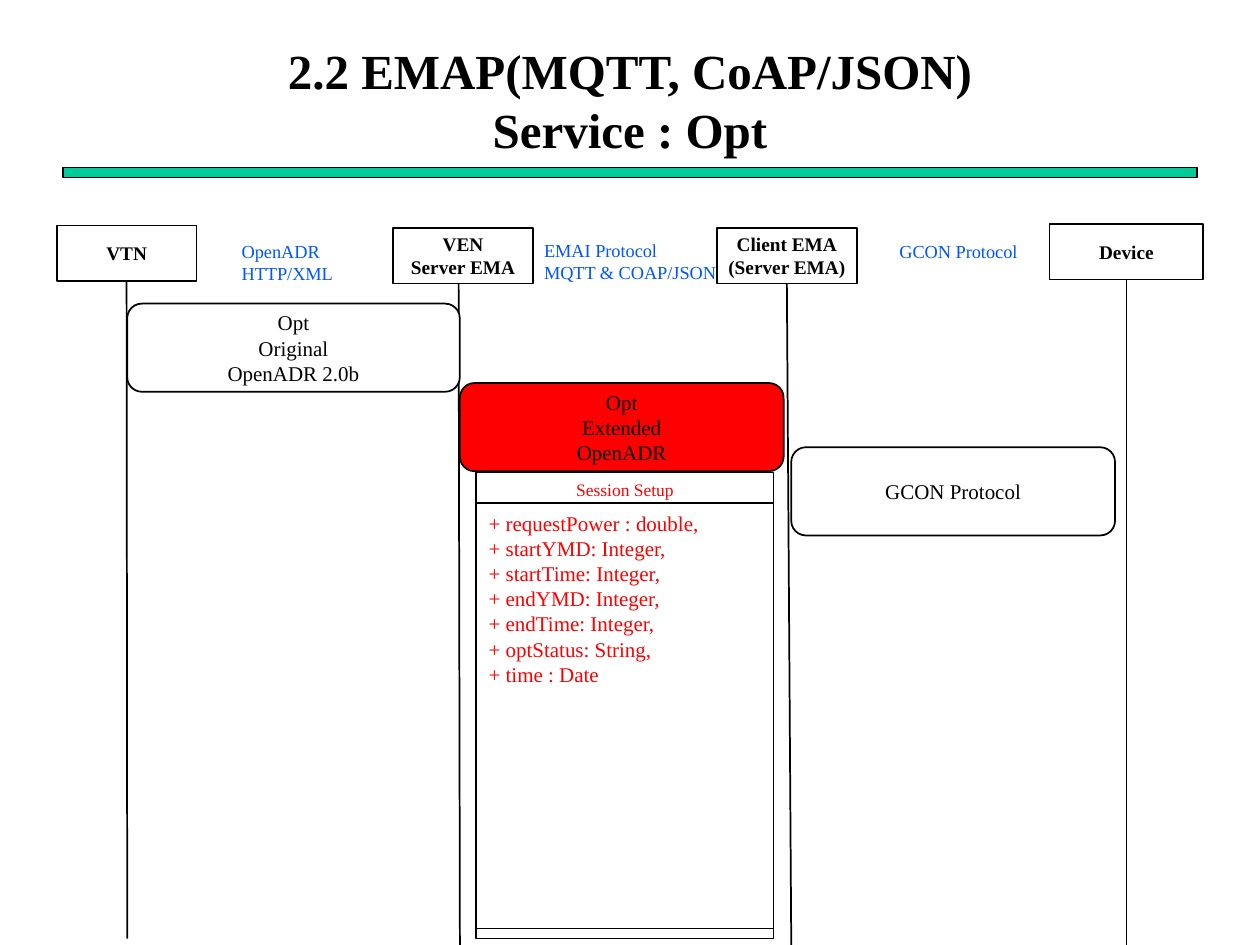
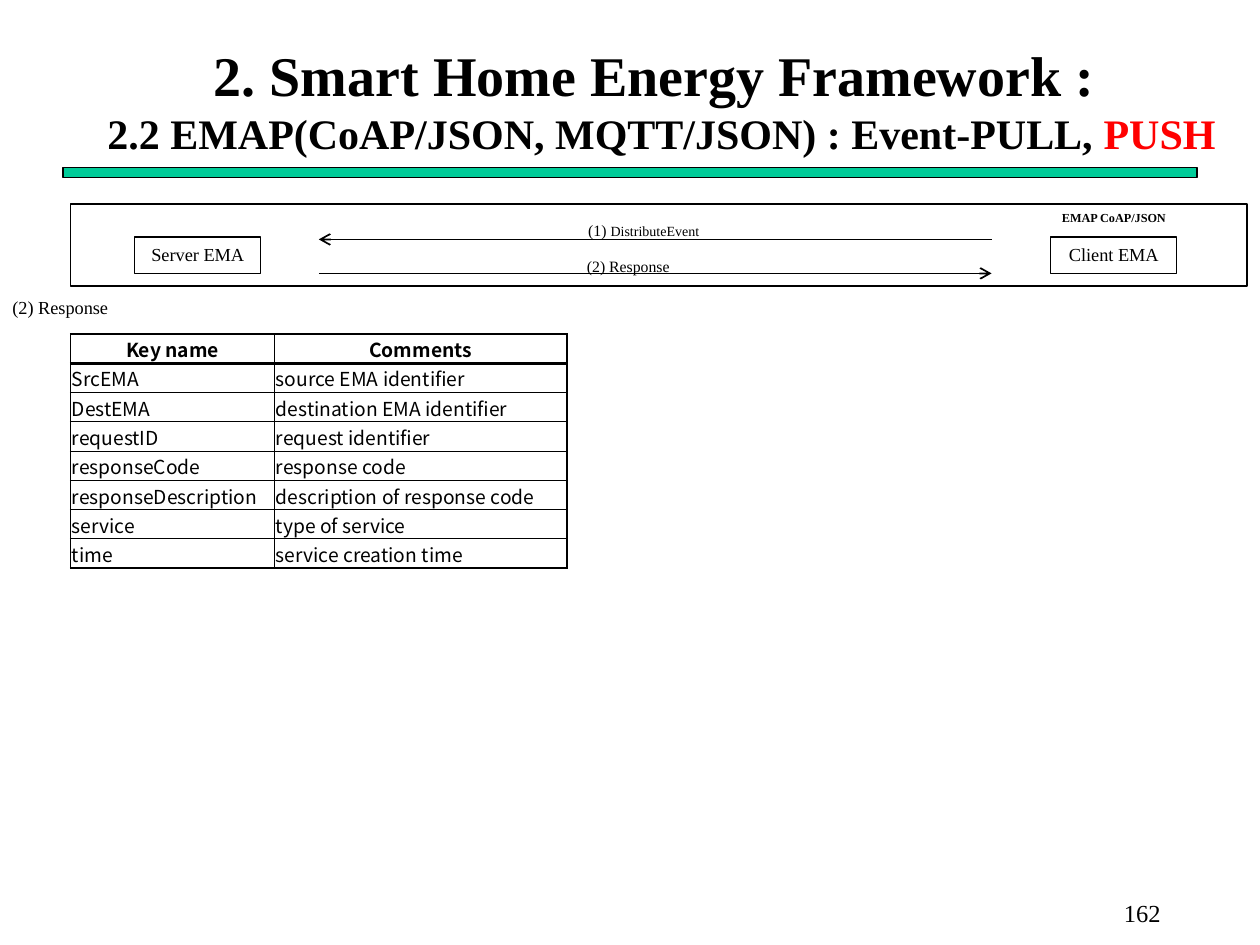
from dataclasses import dataclass

from lxml import etree
from pptx import Presentation
from pptx.dml.color import RGBColor
from pptx.enum.shapes import MSO_CONNECTOR, MSO_SHAPE
from pptx.enum.text import MSO_ANCHOR, PP_ALIGN
from pptx.oxml.ns import qn
from pptx.util import Inches, Pt

BLACK = RGBColor(0x00, 0x00, 0x00)
WHITE = RGBColor(0xFF, 0xFF, 0xFF)
RED = RGBColor(0xFF, 0x00, 0x00)
BLUE = RGBColor(0x01, 0x56, 0xFF)
GREEN = RGBColor(0x00, 0xCC, 0x99)

RECTANGLE, ROUNDED = MSO_SHAPE.RECTANGLE, MSO_SHAPE.ROUNDED_RECTANGLE
STRAIGHT = MSO_CONNECTOR.STRAIGHT
LEFT, CENTER, RIGHT = PP_ALIGN.LEFT, PP_ALIGN.CENTER, PP_ALIGN.RIGHT
TOP, MIDDLE = MSO_ANCHOR.TOP, MSO_ANCHOR.MIDDLE
BOTTOM_SIDE = 2

BODY_FONT = "Times New Roman"
TABLE_FONT = "Noto Sans CJK KR"
GRID_COLUMNS, GRID_ROWS = 100, 75
BOX_HEIGHT, STAGE_HEIGHT = 4.4, 7


@dataclass
class Run:
    """A stretch of text; empty fields follow the style of its box."""
    text: str
    size: float = None
    color: RGBColor = None


class Deck:
    """Draws on the current slide; places are grid columns and rows."""

    def __init__(self):
        self.presentation = Presentation()
        self.presentation.slide_width = Inches(10)
        self.presentation.slide_height = Inches(7.5)
        self.slide = None

    def x(self, columns):
        return round(self.presentation.slide_width * columns / GRID_COLUMNS)

    def y(self, rows):
        return round(self.presentation.slide_height * rows / GRID_ROWS)

    def frame(self, left, top, width, height):
        return self.x(left), self.y(top), self.x(width), self.y(height)

    def new_slide(self, title, title_size, title_width=90):
        layout = self.presentation.slide_layouts[6]
        self.slide = self.presentation.slides.add_slide(layout)
        self.box((5, 13.3, 90, 0.8), fill=GREEN, line_width=0.75)
        self.label((5, 3.3, title_width, 9.2), title, title_size,
                   bold=True, align=CENTER, anchor=MIDDLE)

    def add_text(self, frame, paragraphs, size, color=BLACK, bold=False,
                 align=LEFT, font=BODY_FONT):
        for index, content in enumerate(paragraphs):
            paragraph = frame.paragraphs[0] if index == 0 else frame.add_paragraph()
            paragraph.alignment = align
            runs = [Run(content)] if isinstance(content, str) else content
            for part in runs:
                run = paragraph.add_run()
                run.text = part.text
                run.font.name = font
                run.font.size = Pt(part.size or size)
                run.font.bold = bold
                run.font.color.rgb = part.color or color

    def label(self, place, paragraphs, size, anchor=TOP, **style):
        shape = self.slide.shapes.add_textbox(*self.frame(*place))
        shape.text_frame.word_wrap = True
        shape.text_frame.vertical_anchor = anchor
        self.add_text(shape.text_frame, paragraphs, size, **style)

    def box(self, place, paragraphs=(), size=12, kind=RECTANGLE, fill=WHITE,
            line_width=1, anchor=MIDDLE, wrap=False, **style):
        shape = self.slide.shapes.add_shape(kind, *self.frame(*place))
        shape.shadow.inherit = False
        shape.fill.solid()
        shape.fill.fore_color.rgb = fill
        shape.line.color.rgb = BLACK
        shape.line.width = Pt(line_width)
        shape.text_frame.word_wrap = wrap
        shape.text_frame.vertical_anchor = anchor
        self.add_text(shape.text_frame, paragraphs, size,
                      **{"align": CENTER, **style})
        return shape

    def line(self, start, end, arrow=False, start_box=None):
        connector = self.slide.shapes.add_connector(
            STRAIGHT, self.x(start[0]), self.y(start[1]),
            self.x(end[0]), self.y(end[1]))
        connector.line.color.rgb = BLACK
        connector.line.width = Pt(1)
        properties = connector._element.spPr
        if arrow:
            etree.SubElement(properties.find(qn("a:ln")), qn("a:tailEnd"), type="arrow")
        etree.SubElement(properties, qn("a:effectLst"))
        if start_box is not None:
            connector.begin_connect(start_box, BOTTOM_SIDE)

    def cell_borders(self, cell, widths):
        properties = cell._tc.get_or_add_tcPr()
        for side, width in widths.items():
            border = etree.SubElement(properties, qn(f"a:ln{side}"), w=str(Pt(width)))
            fill = etree.SubElement(border, qn("a:solidFill"))
            etree.SubElement(fill, qn("a:srgbClr"), val=str(BLACK))

    def table(self, place, rows, column_widths, size):
        last_row, last_column = len(rows) - 1, len(column_widths) - 1
        table = self.slide.shapes.add_table(
            len(rows), len(column_widths), *self.frame(*place)).table
        table.first_row = table.horz_banding = False
        for column, width in zip(table.columns, column_widths):
            column.width = self.x(width)
        for r, texts in enumerate(rows):
            for c, text in enumerate(texts):
                cell = table.cell(r, c)
                self.cell_borders(cell, {
                    "L": 1 if c == 0 else 0.5,
                    "R": 1 if c == last_column else 0.5,
                    "T": {0: 1, 1: 2}.get(r, 0.5),
                    "B": {0: 2, last_row: 1}.get(r, 0.5)})
                cell.fill.background()
                cell.margin_left = cell.margin_right = cell.margin_top = Inches(0.01)
                cell.margin_bottom = 0
                cell.vertical_anchor = MIDDLE
                self.add_text(cell.text_frame, [text], size, bold=r == 0,
                              align=CENTER if r == 0 else LEFT, font=TABLE_FONT)


def build_opt_service(deck):
    deck.new_slide(["2.2 EMAP(MQTT, CoAP/JSON)", "Service : Opt"], 28)

    def participant(left, top, width, lines):
        return deck.box((left, top, width, BOX_HEIGHT), lines, 11, bold=True)

    deck.line((36.4, 22.1), (36.5, 75))
    deck.line((89.4, 19.9), (89.4, 75))
    vtn = participant(4.5, 17.9, 11.1, ["VTN"])
    participant(31.2, 18.1, 11.1, ["VEN", "Server EMA"])
    client = participant(56.9, 18.1, 11.1, ["Client EMA", "(Server EMA)"])
    participant(83.3, 17.8, 12.2, ["Device"])
    deck.line((10.1, 22.3), (10.1, 74.5), start_box=vtn)
    deck.line((62.6, 22.4), (62.8, 75), start_box=client)

    for left, top, lines in [
            (18.2, 18.6, ["OpenADR", "HTTP/XML"]),
            (42.2, 18.5, ["EMAI Protocol", "MQTT & COAP/JSON"]),
            (70.4, 18.6, ["GCON Protocol"])]:
        deck.label((left, top, 17.3, 4.7), lines, 10.5, color=BLUE)

    for left, top, width, fill, lines in [
            (10.1, 24.1, 26.4, WHITE, ["Opt", "Original", "OpenADR 2.0b"]),
            (36.5, 30.4, 25.7, RED, ["Opt", "Extended", "OpenADR"]),
            (62.8, 35.5, 25.7, WHITE, ["GCON Protocol"])]:
        deck.box((left, top, width, STAGE_HEIGHT), lines, kind=ROUNDED, fill=fill)

    session_left, session_width = 37.8, 23.6
    attributes = ["requestPower : double,", "startYMD: Integer,",
                  "startTime: Integer,", "endYMD: Integer,",
                  "endTime: Integer,", "optStatus: String,", "time : Date"]
    session = deck.box(
        (session_left, 37.5, session_width, 37),
        [[Run("Session Setup", 10)]] + [f"+ {name}" for name in attributes],
        color=RED, align=LEFT, anchor=TOP, wrap=True)
    heading, first_attribute = session.text_frame.paragraphs[:2]
    heading.alignment = CENTER
    first_attribute.space_before = Pt(6)
    for row in (39.9, 73.7):
        deck.line((session_left, row), (session_left + session_width, row))


def build_event_response(deck):
    deck.new_slide(
        [[Run("2. Smart Home Energy Framework : ", 32)],
         [Run("2.2 EMAP(CoAP/JSON, MQTT/JSON) : Event-PULL, "),
          Run("PUSH", color=RED)]],
        24, title_width=95)
    deck.label((72.3, 70.8, 20.8, 4.2), ["162"], 14, align=RIGHT)

    deck.box((5.6, 16.2, 93.4, 6.5))
    for left, name in [(10.7, "Server EMA"), (83.4, "Client EMA")]:
        deck.box((left, 18.8, 10, 2.9), [name], 10.5, line_width=0.75, anchor=TOP)
    server_end, client_end = 25.3, 78.7
    deck.line((client_end, 19), (server_end, 19), arrow=True)
    deck.line((server_end, 21.7), (client_end, 21.7), arrow=True)
    deck.label((45.6, 19.9, 10, 2.5), ["(2) Response"], 9)
    deck.label((45.7, 17, 12, 2.5), [[Run("(1) "), Run("DistributeEvent", 8)]], 9)
    deck.label((83.3, 16.2, 16, 2.2), ["EMAP CoAP/JSON"], 7, bold=True)

    deck.label((0, 23, 11, 2.8), ["(2) Response"], 10.5)
    deck.table((5.6, 26.5, 39.4, 18.6), [
        ("Key name", "Comments"),
        ("SrcEMA", "source EMA identifier"),
        ("DestEMA", "destination EMA identifier"),
        ("requestID", "request identifier"),
        ("responseCode", "response code"),
        ("responseDescription", "description of response code"),
        ("service", "type of service"),
        ("time", "service creation time")], (16.2, 23.2), 11)


def main():
    deck = Deck()
    build_opt_service(deck)
    build_event_response(deck)
    deck.presentation.save("out.pptx")


if __name__ == "__main__":
    main()
